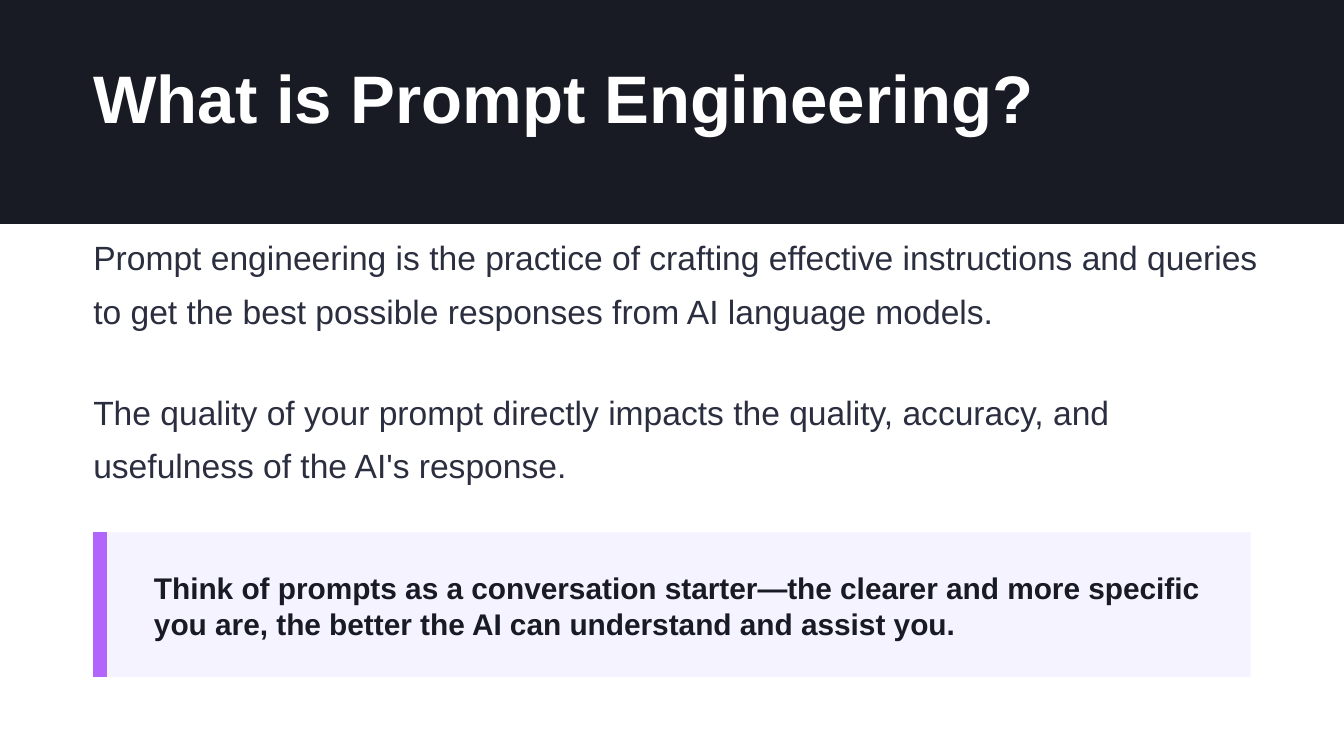
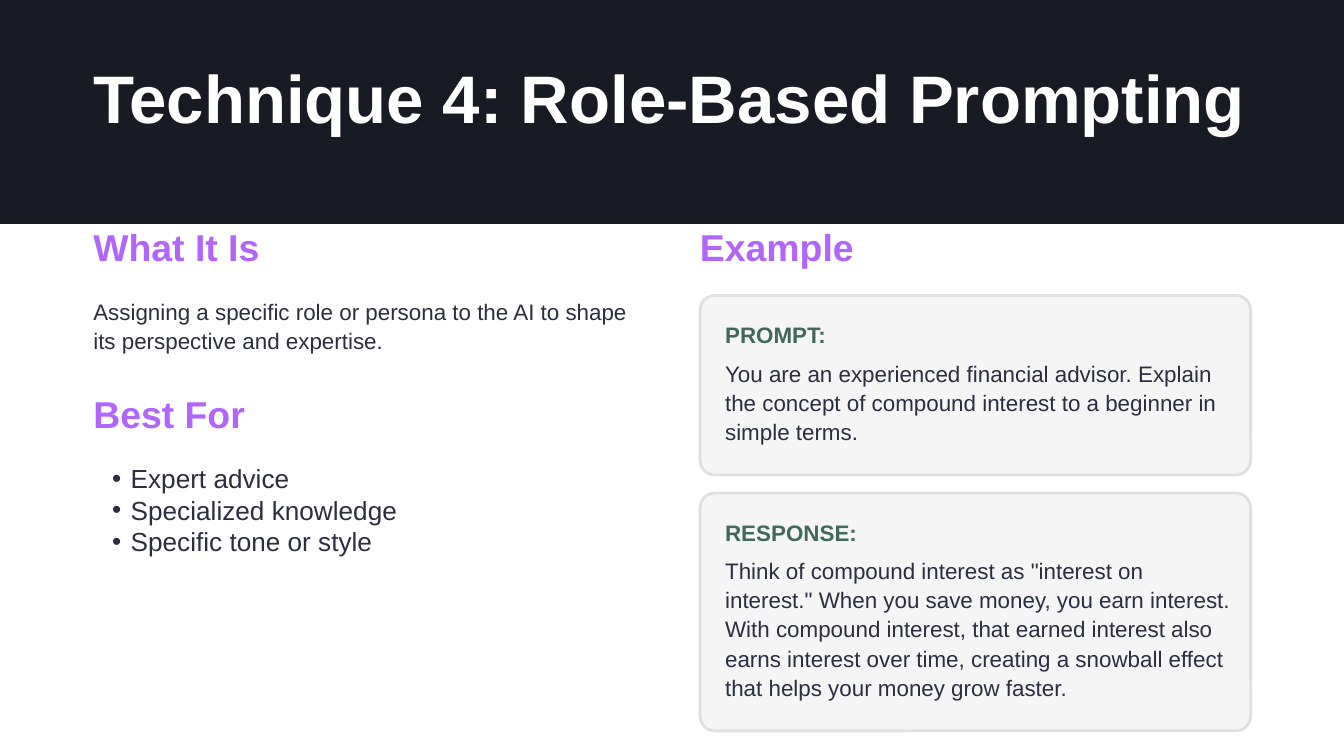
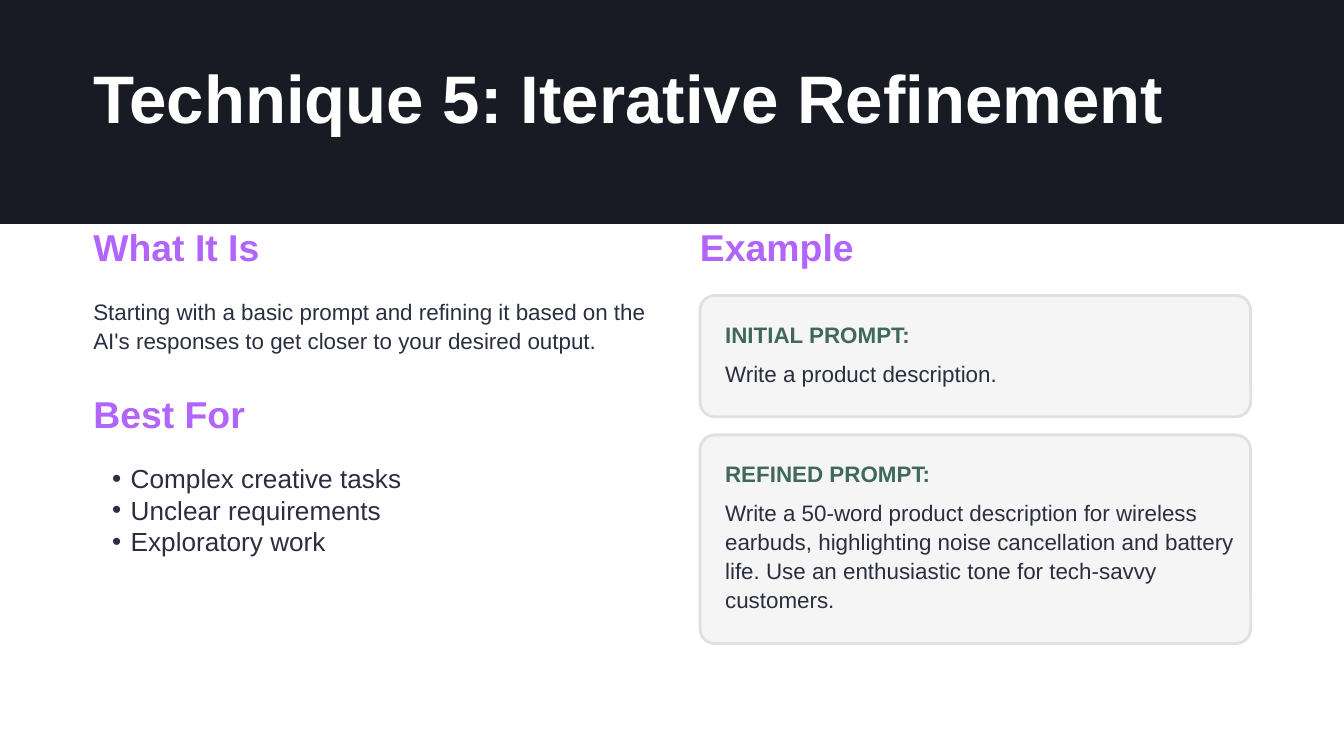
"""Build three slides about prompt engineering."""
from dataclasses import dataclass

from lxml.etree import SubElement
from pptx import Presentation
from pptx.dml.color import RGBColor
from pptx.enum.shapes import MSO_CONNECTOR, MSO_SHAPE
from pptx.enum.text import MSO_ANCHOR, MSO_AUTO_SIZE, PP_ALIGN
from pptx.oxml.ns import qn
from pptx.util import Pt


@dataclass(frozen=True)
class TextStyle:
    size: float
    color: str
    bold: bool = False
    leading: float = 0
    after: float = 0


@dataclass(frozen=True)
class Theme:
    font: str = "Arial"
    band: str = "181B24"
    accent: str = "B165FB"
    callout: str = "F5F3FF"
    card: str = "F5F5F5"
    card_border: str = "E0E0E0"
    title: TextStyle = TextStyle(36, "FFFFFF", bold=True)
    lead: TextStyle = TextStyle(18, "2A2E3F", leading=28.8, after=25)
    quote: TextStyle = TextStyle(16, "181B24", bold=True)
    heading: TextStyle = TextStyle(20, "B165FB", bold=True, after=15)
    body: TextStyle = TextStyle(12, "2A2E3F", leading=15.6, after=20)
    bullet: TextStyle = TextStyle(14, "2A2E3F")
    label: TextStyle = TextStyle(12, "40695B", bold=True, after=6)
    card_text: TextStyle = TextStyle(12, "2A2E3F", leading=15.6, after=3)


LEFT, RIGHT, TOP = 50, 375, 120
COLUMN_WIDTH, CARD_WIDTH, CARD_GAP = 301, 295, 9.7
HEADING_STEP = 38.3
TITLE_ONLY, TITLE_AND_BODY = 5, 1


class SlideBuilder:
    def __init__(self, deck, theme):
        self.deck = deck
        self.theme = theme
        self.page = None

    def start(self, title, layout):
        self.page = self.deck.slides.add_slide(self.deck.slide_layouts[layout])
        band = self.block(0, 0, 820, TOP, self.theme.band)
        self.page.shapes._spTree.insert(2, band._element)
        self.fill_text(self.page.shapes.title, (LEFT, 30, 734, 41.4), [title], self.theme.title)

    def block(self, left, top, width, height, fill, kind=MSO_SHAPE.RECTANGLE):
        shape = self.page.shapes.add_shape(kind, Pt(left), Pt(top), Pt(width), Pt(height))
        shape.shadow.inherit = False
        shape.fill.solid()
        shape.fill.fore_color.rgb = RGBColor.from_string(fill)
        shape.line.fill.background()
        return shape

    def fill_text(self, box, bounds, lines, style, inset=0):
        box.left, box.top, box.width, box.height = map(Pt, bounds)
        frame = box.text_frame
        frame.text = "\n".join(lines)
        frame.word_wrap = True
        frame.auto_size = MSO_AUTO_SIZE.NONE
        frame.vertical_anchor = MSO_ANCHOR.TOP
        frame.margin_left = Pt(inset)
        frame.margin_top = frame.margin_right = frame.margin_bottom = 0
        for para in frame.paragraphs:
            para.alignment = PP_ALIGN.LEFT
            para.space_before = Pt(0)
            para.space_after = Pt(style.after)
            if style.leading:
                para.line_spacing = Pt(style.leading)
            for span in para.runs:
                span.font.name = self.theme.font
                span.font.size = Pt(style.size)
                span.font.bold = style.bold
                span.font.color.rgb = RGBColor.from_string(style.color)

    def text(self, left, top, width, height, words, style):
        box = self.page.shapes.add_textbox(0, 0, 0, 0)
        self.fill_text(box, (left, top, width, height), [words], style)

    def heading(self, left, top, words):
        self.text(left, top, COLUMN_WIDTH, 23, words, self.theme.heading)
        return top + HEADING_STEP

    def bullets(self, top, items):
        box = self.page.placeholders[1]
        self.fill_text(box, (LEFT, top, CARD_WIDTH, 49.5), items, self.theme.bullet, inset=10)
        for para in box.text_frame.paragraphs:
            properties = para._p.get_or_add_pPr()
            properties.set("marL", str(Pt(10)))
            properties.set("indent", str(Pt(-10)))
            SubElement(properties, qn("a:buChar"), char="•")

    def callout(self, top, height, words):
        self.block(LEFT, top, 620, height, self.theme.callout)
        center = Pt(LEFT + 3.75)
        accent = self.page.shapes.add_connector(
            MSO_CONNECTOR.STRAIGHT, center, Pt(top), center, Pt(top + height))
        accent.line.color.rgb = RGBColor.from_string(self.theme.accent)
        accent.line.width = Pt(7.5)
        SubElement(accent._element.spPr, qn("a:effectLst"))
        self.text(LEFT + 32.5, top + 20, 574, 37.5, words, self.theme.quote)

    def card(self, top, label, words, line_count):
        text_height = line_count * self.theme.card_text.leading
        height = text_height + 49.4
        card = self.block(RIGHT, top, CARD_WIDTH, height, self.theme.card,
                          MSO_SHAPE.ROUNDED_RECTANGLE)
        card.adjustments[0] = 8 / height
        card.line.color.rgb = RGBColor.from_string(self.theme.card_border)
        card.line.width = Pt(1.5)
        inner = RIGHT + 13.5
        self.text(inner, top + 13.7, 273.5, 13.5, label, self.theme.label)
        self.text(inner, top + 33.2, 273.5, text_height, words, self.theme.card_text)
        return top + height + CARD_GAP

    def technique(self, title, summary, uses, cards):
        self.start(title, TITLE_AND_BODY)
        top = self.heading(LEFT, TOP, "What It Is")
        self.text(LEFT, top, COLUMN_WIDTH, 31.2, summary, self.theme.body)
        self.bullets(self.heading(LEFT, top + 51.2, "Best For"), uses)
        top = self.heading(RIGHT, TOP, "Example")
        for label, words, line_count in cards:
            top = self.card(top, label, words, line_count)


def main():
    deck = Presentation()
    deck.slide_width, deck.slide_height = Pt(720), Pt(405)
    builder = SlideBuilder(deck, Theme())

    builder.start("What is Prompt Engineering?", TITLE_ONLY)
    paragraphs = [
        "Prompt engineering is the practice of crafting effective instructions and queries "
        "to get the best possible responses from AI language models.",
        "The quality of your prompt directly impacts the quality, accuracy, and "
        "usefulness of the AI's response.",
    ]
    for index, words in enumerate(paragraphs):
        builder.text(LEFT, TOP + index * 82.6, 632, 57.6, words, builder.theme.lead)
    builder.callout(285.2, 77.5, "Think of prompts as a conversation starter—the clearer and more "
                    "specific you are, the better the AI can understand and assist you.")

    builder.technique(
        "Technique 4: Role-Based Prompting",
        "Assigning a specific role or persona to the AI to shape its perspective and expertise.",
        ["Expert advice", "Specialized knowledge", "Specific tone or style"],
        [
            ("PROMPT:", "You are an experienced financial advisor. Explain the concept of "
             "compound interest to a beginner in simple terms.", 3),
            ("RESPONSE:", "Think of compound interest as \"interest on interest.\" When you save "
             "money, you earn interest. With compound interest, that earned interest also earns "
             "interest over time, creating a snowball effect that helps your money grow faster.", 5),
        ],
    )
    builder.technique(
        "Technique 5: Iterative Refinement",
        "Starting with a basic prompt and refining it based on the AI's responses to get closer "
        "to your desired output.",
        ["Complex creative tasks", "Unclear requirements", "Exploratory work"],
        [
            ("INITIAL PROMPT:", "Write a product description.", 1),
            ("REFINED PROMPT:", "Write a 50-word product description for wireless earbuds, "
             "highlighting noise cancellation and battery life. Use an enthusiastic tone for "
             "tech-savvy customers.", 4),
        ],
    )
    deck.save("out.pptx")


if __name__ == "__main__":
    main()
